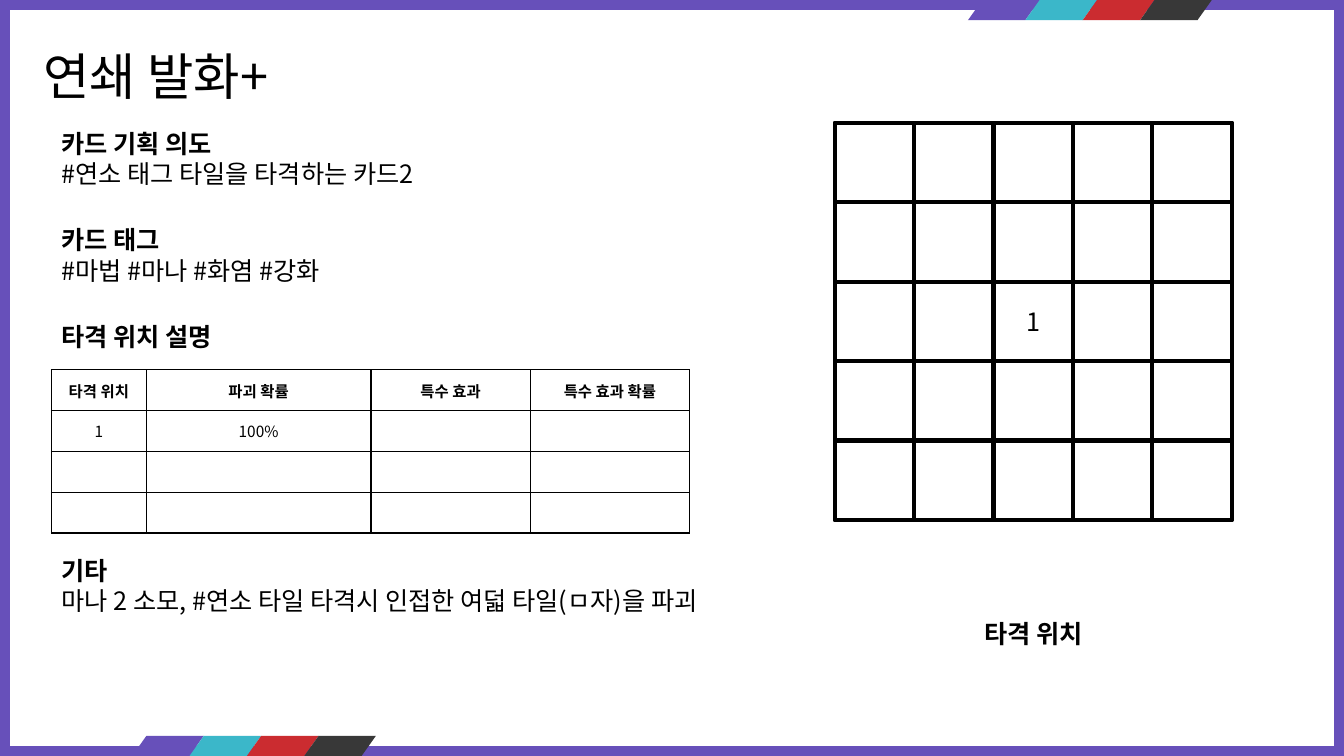
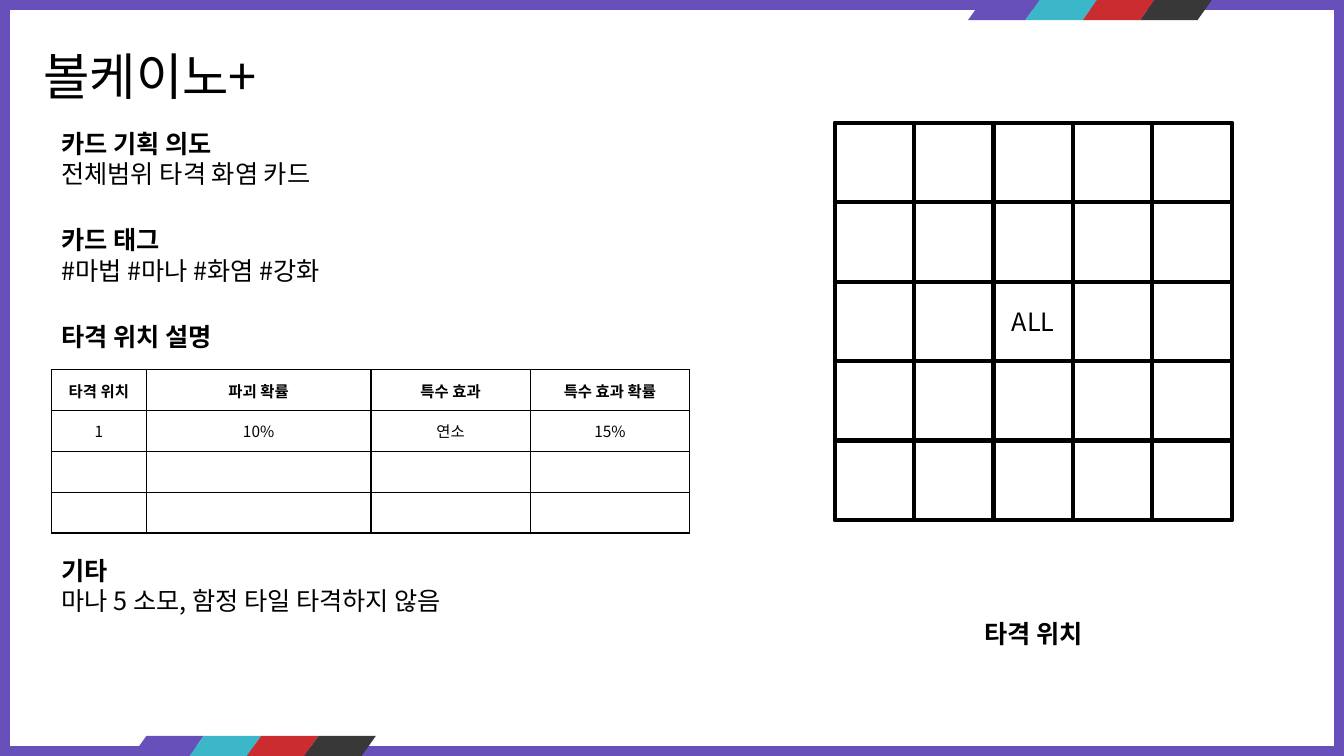
"""Build two card design slides with a hit table and a 5 x 5 tile board."""
from pptx import Presentation
from pptx.dml.color import RGBColor
from pptx.enum.shapes import MSO_SHAPE
from pptx.enum.text import MSO_ANCHOR, MSO_AUTO_SIZE, PP_ALIGN
from pptx.oxml import parse_xml
from pptx.oxml.ns import nsdecls, qn
from pptx.util import Inches, Pt

FONT = "Noto Sans CJK KR"
BLACK, WHITE, PURPLE = "000000", "FFFFFF", "6750BA"
STRIPES = [PURPLE, "3BB7C9", "CB2C30", "383838"]
STRIPE_STEP = 4.27
STRIPE_STARTS = [(72.02, 0), (9.83, 97.33)]
LEFT, TOP, TEXT_WIDTH = 3.83, 16.27, 59.34
ONE_LINE, TWO_LINES = 5.33, 9.47
BOARD_LEFT, BOARD_WIDTH, BOARD_HEIGHT, TILES = 62.12, 29.53, 52.5, 5
TILE_WIDTH, TILE_HEIGHT = BOARD_WIDTH / TILES, BOARD_HEIGHT / TILES
TABLE_COLUMNS = [7.05, 16.73, 11.85, 11.85]
TABLE_ROWS, TABLE_HEIGHT = 4, 21.6
HEADINGS = ["타격 위치", "파괴 확률", "특수 효과", "특수 효과 확률"]
CARDS = [
    {
        "title": "연쇄 발화+",
        "intent": "#연소 태그 타일을 타격하는 카드2",
        "hit": ["1", "100%"],
        "target": "1",
        "notes": "마나 2 소모, #연소 타일 타격시 인접한 여덟 타일(ㅁ자)을 파괴",
    },
    {
        "title": "볼케이노+",
        "intent": "전체범위 타격 화염 카드",
        "hit": ["1", "10%", "연소", "15%"],
        "target": "ALL",
        "notes": "마나 5 소모, 함정 타일 타격하지 않음",
    },
]

deck = Presentation()
deck.slide_width, deck.slide_height = Inches(13.33), Inches(7.5)
color = RGBColor.from_string


def area(left, top, width, height):
    """Turn percentages of the slide into lengths."""
    sides = [deck.slide_width, deck.slide_height] * 2
    return [round(side * share / 100) for side, share in zip(sides, (left, top, width, height))]


def write(frame, lines, size=18, bold=True, align=PP_ALIGN.LEFT):
    """Fill a text frame, with bold applying to the first line only."""
    for index, line in enumerate(lines):
        para = frame.add_paragraph() if index else frame.paragraphs[0]
        para.alignment = align
        span = para.add_run()
        span.text = line
        for name, value in {"name": FONT, "size": Pt(size), "bold": bold and index == 0}.items():
            setattr(span.font, name, value)
        span.font.color.rgb = color(BLACK)
        east_asian = parse_xml(f'<a:ea {nsdecls("a")} typeface="{FONT}"/>')
        span._r.get_or_add_rPr().append(east_asian)


pages = [deck.slides.add_slide(deck.slide_layouts[6]) for _ in CARDS]
master = deck.slide_master
master.background.fill.solid()
master.background.fill.fore_color.rgb = color(PURPLE)
frame_parts = [(MSO_SHAPE.RECTANGLE, (0.75, 1.33, 98.5, 97.33), WHITE)]
for left, top in STRIPE_STARTS:
    for index, stripe in enumerate(STRIPES):
        bounds = (left + index * STRIPE_STEP, top, 5.33, 2.67)
        frame_parts.append((MSO_SHAPE.FLOWCHART_DATA, bounds, stripe))
for kind, bounds, fill in frame_parts:
    part = pages[0].shapes.add_shape(kind, *area(*bounds))
    part.shadow.inherit = False
    part.fill.solid()
    part.fill.fore_color.rgb = color(fill)
    part.line.fill.background()
    master.shapes.element.append(part.element)
for number, properties in enumerate(master.shapes.element.iter(qn("p:cNvPr")), 1):
    properties.set("id", str(number))

for page, card in zip(pages, CARDS):
    board = [(BOARD_LEFT, TOP, BOARD_WIDTH, BOARD_HEIGHT, "")]
    for row in range(TILES):
        for column in range(TILES):
            left, top = BOARD_LEFT + column * TILE_WIDTH, TOP + row * TILE_HEIGHT
            label = card["target"] if row == column == TILES // 2 else ""
            board.append((left, top, TILE_WIDTH, TILE_HEIGHT, label))
    for *bounds, label in board:
        tile = page.shapes.add_shape(MSO_SHAPE.RECTANGLE, *area(*bounds))
        tile.shadow.inherit = False
        tile.fill.solid()
        tile.fill.fore_color.rgb = color(WHITE)
        tile.line.color.rgb = color(BLACK)
        tile.line.width = Pt(3)
        if label:
            tile.text_frame.vertical_anchor = MSO_ANCHOR.MIDDLE
            write(tile.text_frame, [label], bold=False, align=PP_ALIGN.CENTER)

    bounds = area(LEFT, 48.93, sum(TABLE_COLUMNS), TABLE_HEIGHT)
    holder = page.shapes.add_table(TABLE_ROWS, len(TABLE_COLUMNS), *bounds)
    table = holder.table
    table.first_row = table.horz_banding = False
    for column, share in zip(table.columns, TABLE_COLUMNS):
        column.width = round(deck.slide_width * share / 100)
    texts = [HEADINGS, card["hit"]]
    for row in range(TABLE_ROWS):
        for column in range(len(TABLE_COLUMNS)):
            cell = table.cell(row, column)
            for side in "LRTB":
                cell._tc.get_or_add_tcPr().append(parse_xml(
                    f'<a:ln{side} {nsdecls("a")} w="{Pt(1)}"><a:solidFill>'
                    f'<a:srgbClr val="{BLACK}"/></a:solidFill></a:ln{side}>'))
            cell.fill.solid()
            cell.fill.fore_color.rgb = color(WHITE)
            for side in ("left", "right", "top", "bottom"):
                setattr(cell, f"margin_{side}", 0)
            cell.vertical_anchor = MSO_ANCHOR.MIDDLE
            if row < len(texts) and column < len(texts[row]):
                write(cell.text_frame, [texts[row][column]], 11, row == 0, PP_ALIGN.CENTER)

    boxes = [
        ((LEFT, TOP, 91.45, TWO_LINES), ["카드 기획 의도", card["intent"]], {}),
        ((LEFT, 29.07, TEXT_WIDTH, TWO_LINES), ["카드 태그", "#마법 #마나 #화염 #강화"], {}),
        ((LEFT, 41.87, TEXT_WIDTH, ONE_LINE), ["타격 위치 설명"], {}),
        ((69.24, 81.07, 15.3, ONE_LINE), ["타격 위치"], {"align": PP_ALIGN.CENTER}),
        ((LEFT, 72.8, TEXT_WIDTH, TWO_LINES), ["기타", card["notes"]], {}),
        ((2.48, 5.33, 48.24, TWO_LINES), [card["title"]], {"size": 36, "bold": False}),
    ]
    for bounds, lines, style in boxes:
        box = page.shapes.add_textbox(*area(*bounds))
        box.text_frame.word_wrap = True
        box.text_frame.auto_size = MSO_AUTO_SIZE.SHAPE_TO_FIT_TEXT
        write(box.text_frame, lines, **style)

deck.save("out.pptx")
